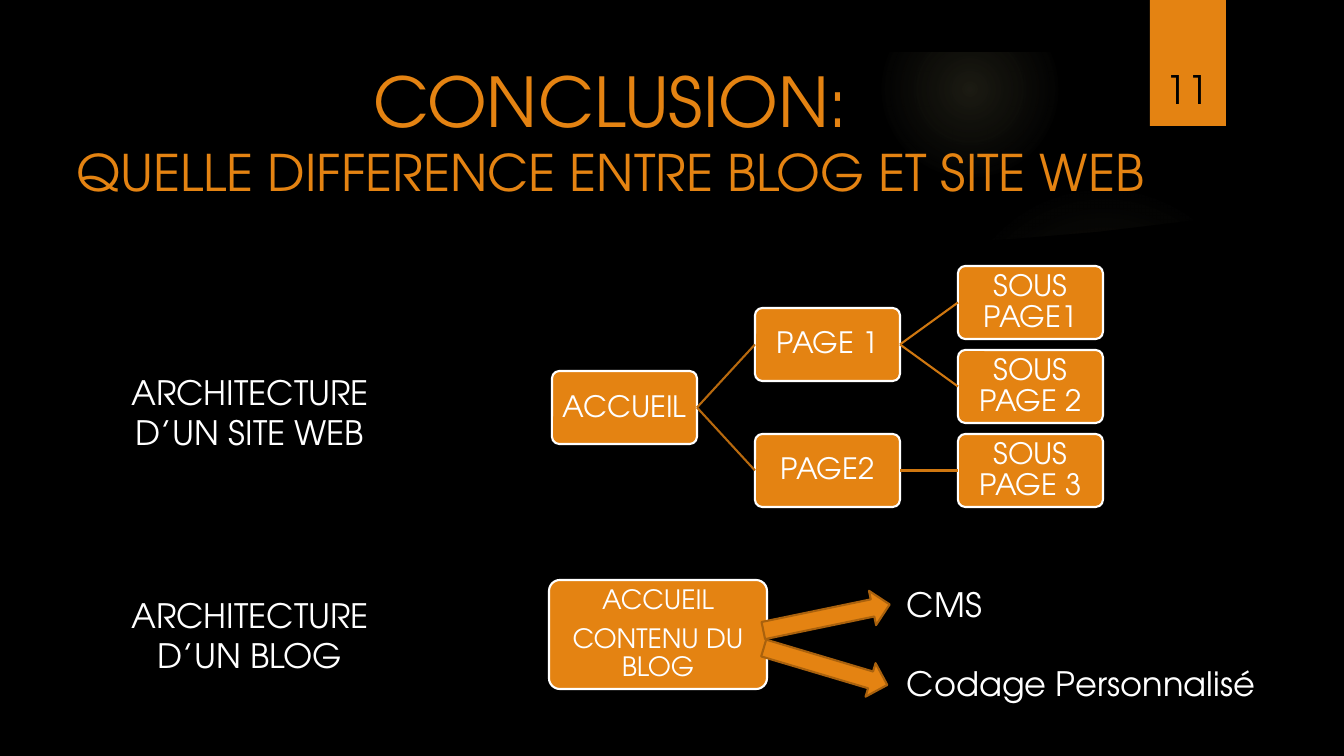
from dataclasses import dataclass

from lxml import etree
from pptx import Presentation
from pptx.dml.color import RGBColor
from pptx.enum.shapes import MSO_CONNECTOR, MSO_SHAPE
from pptx.enum.text import MSO_ANCHOR, PP_ALIGN
from pptx.oxml.ns import qn
from pptx.util import Emu, Pt

RECT, ROUNDED = MSO_SHAPE.RECTANGLE, MSO_SHAPE.ROUNDED_RECTANGLE
OVAL, ARROW = MSO_SHAPE.OVAL, MSO_SHAPE.RIGHT_ARROW
STRAIGHT = MSO_CONNECTOR.STRAIGHT
TOP, MIDDLE, BOTTOM = MSO_ANCHOR.TOP, MSO_ANCHOR.MIDDLE, MSO_ANCHOR.BOTTOM
LEFT, CENTER = PP_ALIGN.LEFT, PP_ALIGN.CENTER
LEFT_SIDE, RIGHT_SIDE = 1, 3


@dataclass(frozen=True)
class Theme:
    font: str = "TeX Gyre Adventor"
    ground: str = "000000"
    accent: str = "E48312"
    text: str = "FFFFFF"
    glow: str = "C2BC80"
    arrow_line: str = "A9610D"
    branch_lines: tuple = ("B7690E", "CF7710")
    title: int = 49
    subtitle: int = 36
    number: int = 28
    label: int = 24
    page: int = 21
    blog: int = 19
    line: float = 1.5


THEME = Theme()

# Content; all lengths are px
SLIDE_SIZE = (1344, 756)
TITLE = [("CONCLUSION:", THEME.title),
         ("QUELLE DIFFERENCE ENTRE BLOG ET SITE WEB", THEME.subtitle)]
TITLE_BOX = (-32, 93, 1285, 75)
NUMBER, NUMBER_BOX, RIBBON_BOX = "11", (1141, 32, 93, 85), (1150, 0, 76, 126)
LABELS = [("ARCHITECTURE D’UN SITE WEB", (117, 367, 266, 92)),
          ("ARCHITECTURE D’UN BLOG", (117, 590, 266, 92))]
OUTCOMES = [("CMS", (897, 579, 100, 50)),
            ("Codage Personnalisé", (897, 658, 378, 50))]
SITE = ("ACCUEIL", [
    ("PAGE 1", [("SOUS PAGE1", []), ("SOUS PAGE 2", [])]),
    ("PAGE2", [("SOUS PAGE 3", [])]),
])
SITE_ORIGIN, PAGE_SIZE, PAGE_STEP = (552, 266), (145, 73), (203, 84)
BLOG, BLOG_BOX = ["ACCUEIL", "CONTENU DU BLOG"], (549, 580, 218, 109)
ARROWS = [((762, 600, 129, 35), -11.7), ((761, 649, 129, 35), 16.6)]
# Glow box, then (position %, opacity %) stops
GLOWS = [((949, 184, 310, 310), [(0, 7), (36, 6), (69, 0)]),
         ((882, 1, 176, 176), [(0, 14), (36, 7), (73, 0)])]
TOP_EDGE = (882, 0, 176, 52)
HORIZON = [(928, 244), (1013, 239), (1097, 232), (1181, 222), (1238, 215),
           (1294, 206), (1294, 500), (928, 500)]

PX = 914400 / 100.8


def emu(*lengths):
    return [Emu(round(length * PX)) for length in lengths]


def rgb(colour):
    return RGBColor.from_string(colour)


def paint(shape, fill, line=None):
    shape.shadow.inherit = False
    shape.fill.solid()
    shape.fill.fore_color.rgb = rgb(fill)
    if line:
        shape.line.color.rgb = rgb(line)
        shape.line.width = Pt(THEME.line)
    else:
        shape.line.fill.background()
    return shape


def add_block(kind, box, fill, line=None):
    return paint(slide.shapes.add_shape(kind, *emu(*box)), fill, line)


def style_run(run, text, size, colour):
    run.text = text
    for name, value in {"name": THEME.font, "size": Pt(size)}.items():
        setattr(run.font, name, value)
    run.font.color.rgb = rgb(colour)


def write(shape, lines, size, colour=THEME.text, align=CENTER, anchor=TOP,
          frame_format=None, paragraph_format=None):
    frame = shape.text_frame
    formats = {"word_wrap": True, "vertical_anchor": anchor}
    for name, value in {**formats, **(frame_format or {})}.items():
        setattr(frame, name, value)
    for index, text in enumerate(lines):
        paragraph = frame.add_paragraph() if index else frame.paragraphs[0]
        formats = {"alignment": align, **(paragraph_format or {})}
        for name, value in formats.items():
            setattr(paragraph, name, value)
        style_run(paragraph.add_run(), text, size, colour)


def add_text(text, box, size, **options):
    write(slide.shapes.add_textbox(*emu(*box)), [text], size, **options)


def add_card(lines, box, size):
    """Orange rounded box with tightly set text."""
    card = add_block(ROUNDED, box, THEME.accent, THEME.text)
    card.adjustments[0] = 0.1
    inset = emu(3)[0]
    sides = ("left", "right", "top", "bottom")
    write(card, lines, size, anchor=MIDDLE,
          frame_format={f"margin_{side}": inset for side in sides},
          paragraph_format={"line_spacing": 0.9, "space_after": Pt(7)})
    return card


def add_glow(box, stops):
    """Circle that fades outwards from its centre."""
    glow = add_block(OVAL, box, THEME.glow)
    gradient = etree.Element(qn("a:gradFill"), rotWithShape="1")
    stop_list = etree.SubElement(gradient, qn("a:gsLst"))
    for position, opacity in stops:
        stop = etree.SubElement(stop_list, qn("a:gs"), pos=str(position * 1000))
        colour = etree.SubElement(stop, qn("a:srgbClr"), val=THEME.glow)
        etree.SubElement(colour, qn("a:alpha"), val=str(opacity * 1000))
    circle = etree.SubElement(gradient, qn("a:path"), path="circle")
    etree.SubElement(circle, qn("a:fillToRect"),
                     l="50000", t="50000", r="50000", b="50000")
    properties = glow._element.spPr
    properties.replace(properties.find(qn("a:solidFill")), gradient)


def add_branch(parent, child, colour):
    branch = slide.shapes.add_connector(STRAIGHT, 0, 0, 0, 0)
    branch.begin_connect(parent, RIGHT_SIDE)
    branch.end_connect(child, LEFT_SIDE)
    branch.line.color.rgb = rgb(colour)
    branch.line.width = Pt(THEME.line)
    etree.SubElement(branch._element.spPr, qn("a:effectLst"))


def add_pages(page, depth=0, first_row=0):
    """Draw a page and those below it; return its card, row and next free row."""
    name, subpages = page
    children, next_row = [], first_row
    for subpage in subpages:
        card, row, next_row = add_pages(subpage, depth + 1, next_row)
        children.append((card, row))
    if children:
        row = sum(child_row for _, child_row in children) / len(children)
    else:
        row, next_row = first_row, first_row + 1
    left = SITE_ORIGIN[0] + depth * PAGE_STEP[0]
    top = SITE_ORIGIN[1] + row * PAGE_STEP[1]
    card = add_card([name], (left, top, *PAGE_SIZE), THEME.page)
    for child, _ in children:
        add_branch(card, child, THEME.branch_lines[depth])
    return card, row, next_row


def add_title():
    frame = slide.shapes.add_textbox(*emu(*TITLE_BOX)).text_frame
    frame.word_wrap, frame.vertical_anchor = True, MIDDLE
    paragraph = frame.paragraphs[0]
    paragraph.alignment = CENTER
    for index, (text, size) in enumerate(TITLE):
        if index:
            paragraph.add_line_break()
        style_run(paragraph.add_run(), text, size, THEME.accent)


presentation = Presentation()
presentation.slide_width, presentation.slide_height = emu(*SLIDE_SIZE)
slide = presentation.slides.add_slide(presentation.slide_layouts[6])
slide.background.fill.solid()
slide.background.fill.fore_color.rgb = rgb(THEME.ground)

for box, stops in GLOWS:
    add_glow(box, stops)
horizon = slide.shapes.build_freeform(*HORIZON[0], scale=PX)
horizon.add_line_segments(HORIZON[1:])
paint(horizon.convert_to_shape(), THEME.ground)
add_block(RECT, TOP_EDGE, THEME.ground)
add_block(RECT, RIBBON_BOX, THEME.accent)

add_title()
add_pages(SITE)
add_text(NUMBER, NUMBER_BOX, THEME.number, colour=THEME.ground, anchor=BOTTOM)
for label, box in LABELS:
    add_text(label, box, THEME.label)
add_card(BLOG, BLOG_BOX, THEME.blog)
for box, angle in ARROWS:
    add_block(ARROW, box, THEME.accent, THEME.arrow_line).rotation = angle
for outcome, box in OUTCOMES:
    add_text(outcome, box, THEME.label, align=LEFT)

presentation.save("out.pptx")
